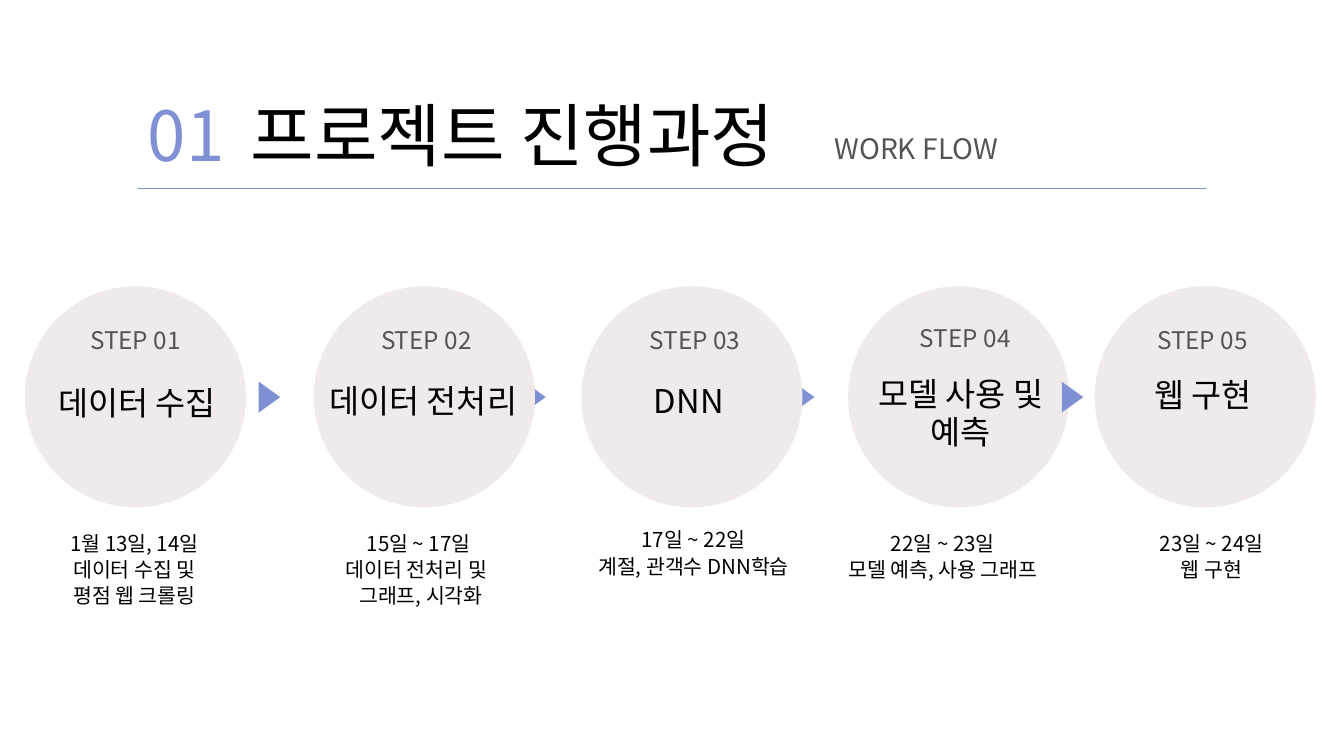
"""Build the project work flow slide with five steps."""
from dataclasses import dataclass

from lxml import etree
from pptx import Presentation
from pptx.dml.color import RGBColor
from pptx.enum.shapes import MSO_CONNECTOR, MSO_SHAPE
from pptx.enum.text import PP_ALIGN
from pptx.oxml.ns import qn
from pptx.util import Inches, Pt

BLUE = RGBColor(0x7F, 0x90, 0xD4)
BEIGE = RGBColor(0xF0, 0xEA, 0xEB)
GRAY = RGBColor(0x54, 0x54, 0x54)
BLACK = RGBColor(0, 0, 0)
FONT = "Noto Sans CJK KR"
LEFT, CENTER = PP_ALIGN.LEFT, PP_ALIGN.CENTER
OVAL, TRIANGLE = MSO_SHAPE.OVAL, MSO_SHAPE.ISOSCELES_TRIANGLE
STRAIGHT = MSO_CONNECTOR.STRAIGHT

CIRCLE_TOP, CIRCLE_SIZE = 4.26, 3.29
ARROW_LEFTS = (3.78, 7.73, 11.73, 15.73)


@dataclass
class Step:
    circle_left: float
    label_at: tuple
    title_at: tuple
    title: str
    note_at: tuple
    note: str


STEPS = (
    Step(0.37, (0.75, 4.86), (0.55, 5.72), "데이터 수집",
         (0.53, 7.87), "1월 13일, 14일\n데이터 수집 및\n평점 웹 크롤링"),
    Step(4.67, (5.08, 4.86), (4.81, 5.68), "데이터 전처리",
         (4.76, 7.87), "15일 ~ 17일\n데이터 전처리 및 \n 그래프, 시각화"),
    Step(8.65, (9.08, 4.86), (8.76, 5.68), "DNN",
         (8.85, 7.82), "17일 ~ 22일\n계절, 관객수 DNN학습"),
    Step(12.62, (13.1, 4.83), (12.81, 5.59), "모델 사용 및 예측",
         (12.56, 7.87), "22일 ~ 23일\n모델 예측, 사용 그래프"),
    Step(16.29, (16.63, 4.85), (16.41, 5.59), "웹 구현",
         (16.56, 7.87), "23일 ~ 24일\n웹 구현"),
)


def add_text(s, at, size, text, points, spacing, color, align=CENTER):
    box = s.shapes.add_textbox(*map(Inches, at + size))
    tf = box.text_frame
    tf.word_wrap = True
    tf.margin_left = tf.margin_right = tf.margin_top = tf.margin_bottom = 0
    tf.text = text
    for p in tf.paragraphs:
        p.alignment = align
        p.line_spacing = Pt(spacing)
        for r in p.runs:
            r.font.size = Pt(points)
            r.font.color.rgb = color
            r.font.name = FONT
            etree.SubElement(r.font._element, qn("a:ea"), typeface=FONT)


def add_solid(s, kind, left, top, width, height, color):
    shape = s.shapes.add_shape(kind, *map(Inches, (left, top, width, height)))
    shape.shadow.inherit = False
    shape.fill.solid()
    shape.fill.fore_color.rgb = color
    shape.line.fill.background()
    return shape


def add_arrow(s, left):
    add_solid(s, TRIANGLE, left, 5.75, 0.46, 0.32, BLUE).rotation = 90


def add_rule(s):
    rule = s.shapes.add_connector(STRAIGHT, Inches(2.05), Inches(2.81),
                                  Inches(17.95), Inches(2.81))
    rule.line.color.rgb = BLUE
    rule.line.width = Pt(0.75)
    etree.SubElement(rule._element.spPr, qn("a:effectLst"))


def add_header(s):
    add_rule(s)
    add_text(s, (2.2, 1.17), (1.4, 1.4), "01", 74, 103.6, BLUE, LEFT)
    add_text(s, (3.73, 1.17), (8.6, 1.4), "프로젝트 진행과정", 74, 103.6, BLACK, LEFT)
    add_text(s, (12.42, 1.87), (5.5, 0.57), "WORK FLOW", 30.2, 42.3, GRAY, LEFT)


def add_step_text(s, number, step):
    title_height = 1.14 if step.title == "모델 사용 및 예측" else 0.58
    note_height = 0.38 * len(step.note.split("\n"))
    add_text(s, step.label_at, (2.53, 0.43), f"STEP {number:02}", 26, 30.2, GRAY)
    add_text(s, step.title_at, (2.98, title_height), step.title, 35, 40.6, BLACK)
    add_text(s, step.note_at, (2.94, note_height), step.note, 22, 28.2, BLACK)


def main():
    prs = Presentation()
    prs.slide_width, prs.slide_height = Inches(20), Inches(11.25)
    s = prs.slides.add_slide(prs.slide_layouts[6])
    add_header(s)
    for left in ARROW_LEFTS[:-1]:
        add_arrow(s, left)
    for step in STEPS:
        add_solid(s, OVAL, step.circle_left, CIRCLE_TOP, CIRCLE_SIZE, CIRCLE_SIZE, BEIGE)
    add_arrow(s, ARROW_LEFTS[-1])
    for number, step in enumerate(STEPS, 1):
        add_step_text(s, number, step)
    prs.save("out.pptx")


if __name__ == "__main__":
    main()
